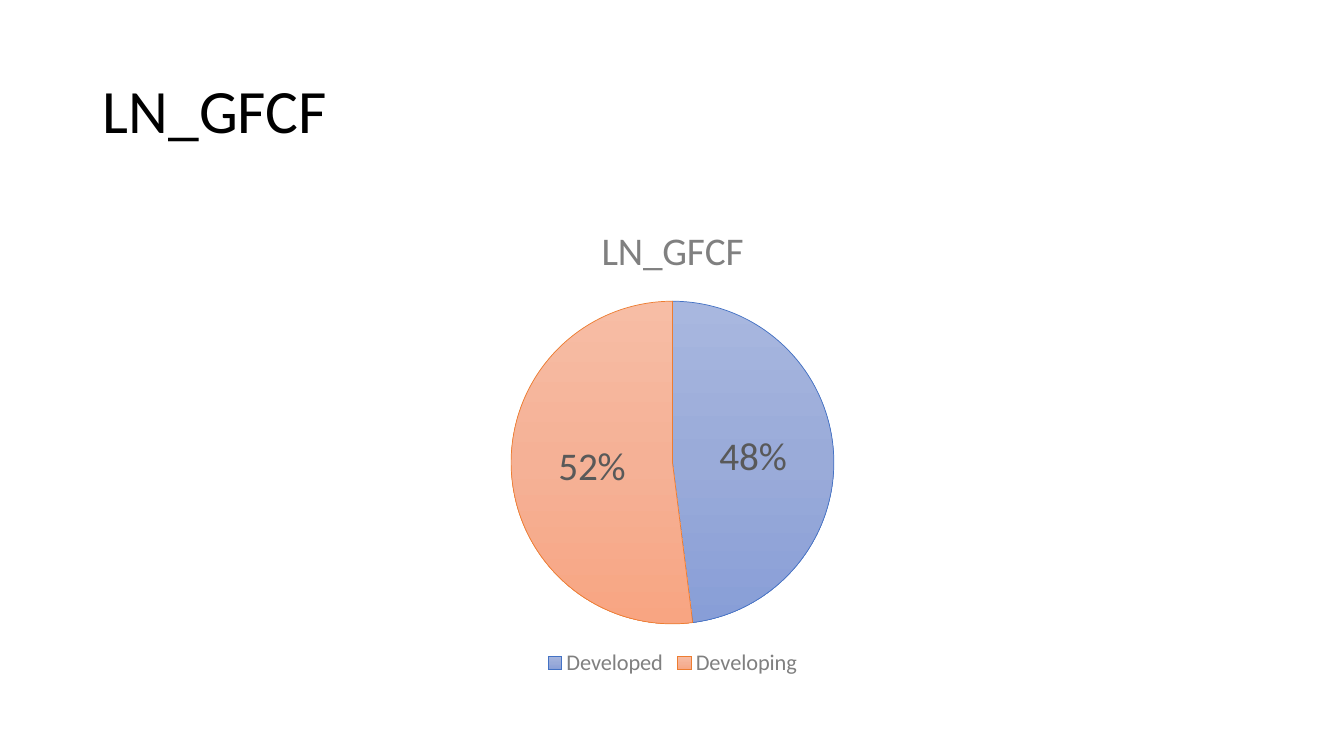
from dataclasses import dataclass

from lxml import etree
from pptx import Presentation
from pptx.chart.data import CategoryChartData
from pptx.dml.color import RGBColor
from pptx.enum.chart import XL_CHART_TYPE, XL_LABEL_POSITION, XL_LEGEND_POSITION
from pptx.enum.text import MSO_ANCHOR, PP_ALIGN
from pptx.oxml.ns import qn
from pptx.util import Inches, Pt

PIE = XL_CHART_TYPE.PIE
CENTER = XL_LABEL_POSITION.CENTER
BOTTOM = XL_LEGEND_POSITION.BOTTOM
MIDDLE = MSO_ANCHOR.MIDDLE
LEFT = PP_ALIGN.LEFT
FONT = "Calibri"
VARIABLE = "LN_GFCF"
MARGIN, CONTENT_WIDTH = Inches(0.92), Inches(11.5)


@dataclass
class Slice:
    """One country group's share of the pie."""
    group: str
    share: int
    outline: str
    gradient: tuple[str, str, str]


SLICES = [
    Slice("Developed", 48, "4472C4", ("A8B7DF", "9AABD9", "889ED7")),
    Slice("Developing", 52, "ED7D31", ("F7BDA5", "F5B196", "F8A582")),
]


def rgb(color: str) -> RGBColor:
    """Turn a hex string into a colour."""
    return RGBColor.from_string(color)


def style_font(font, size: float, color: str) -> None:
    """Set the family, size and colour of a font."""
    font.name, font.size, font.bold = FONT, Pt(size), False
    font.color.rgb = rgb(color)


def add_heading(paragraph, text: str, size: float, color: str) -> None:
    """Add one styled run to a paragraph."""
    run = paragraph.add_run()
    run.text = text
    style_font(run.font, size, color)


def set_gradient(grad_fill, colors: tuple[str, ...]) -> None:
    """Spread the colours evenly from top to bottom."""
    for child in list(grad_fill):
        grad_fill.remove(child)
    stops = etree.SubElement(grad_fill, qn("a:gsLst"))
    for index, color in enumerate(colors):
        position = 100000 * index // (len(colors) - 1)
        stop = etree.SubElement(stops, qn("a:gs"), pos=str(position))
        etree.SubElement(stop, qn("a:srgbClr"), val=color)
    etree.SubElement(grad_fill, qn("a:lin"), ang="5400000", scaled="0")


def style_slices(chart) -> None:
    """Give every slice its gradient and outline."""
    points = chart.plots[0].series[0].points
    for index, part in enumerate(SLICES):
        style = points[index].format
        style.fill.gradient()
        style.line.color.rgb = rgb(part.outline)
        style.line.width = Pt(0.5)
    fills = chart.element.findall(f".//{qn('c:dPt')}/{qn('c:spPr')}/{qn('a:gradFill')}")
    for grad_fill, part in zip(fills, SLICES):
        set_gradient(grad_fill, part.gradient)


def add_pie(slide) -> None:
    """Add the pie of shares with title, labels and legend."""
    data = CategoryChartData()
    data.categories = [part.group for part in SLICES]
    data.add_series(VARIABLE, [part.share for part in SLICES])
    chart = slide.shapes.add_chart(
        PIE, MARGIN, Inches(2), CONTENT_WIDTH, Inches(4.76), data).chart
    style_font(chart.font, 10, "000000")

    chart.has_title = True
    add_heading(chart.chart_title.text_frame.paragraphs[0], VARIABLE, 28, "808080")
    chart.chart_title.include_in_layout = False

    chart.has_legend = True
    chart.legend.position = BOTTOM
    chart.legend.include_in_layout = False
    style_font(chart.legend.font, 16, "808080")

    pie = chart.plots[0]
    pie.vary_by_categories = True
    style_slices(chart)
    pie.has_data_labels = True
    labels = pie.data_labels
    labels.show_percentage, labels.show_value = True, False
    labels.number_format, labels.number_format_is_linked = "0%", False
    labels.position = CENTER
    style_font(labels.font, 28, "595959")


def add_title(slide) -> None:
    """Place and fill the slide title."""
    title = slide.shapes.title
    title.left, title.top = MARGIN, Inches(0.4)
    title.width, title.height = CONTENT_WIDTH, Inches(1.45)
    title.text_frame.vertical_anchor = MIDDLE
    paragraph = title.text_frame.paragraphs[0]
    paragraph.alignment = LEFT
    paragraph.line_spacing = 0.9
    add_heading(paragraph, VARIABLE, 44, "000000")


def main() -> None:
    """Build and save the slide."""
    deck = Presentation()
    deck.slide_width, deck.slide_height = Inches(13.33), Inches(7.5)
    slide = deck.slides.add_slide(deck.slide_layouts[5])
    add_title(slide)
    add_pie(slide)
    deck.save("out.pptx")


main()
